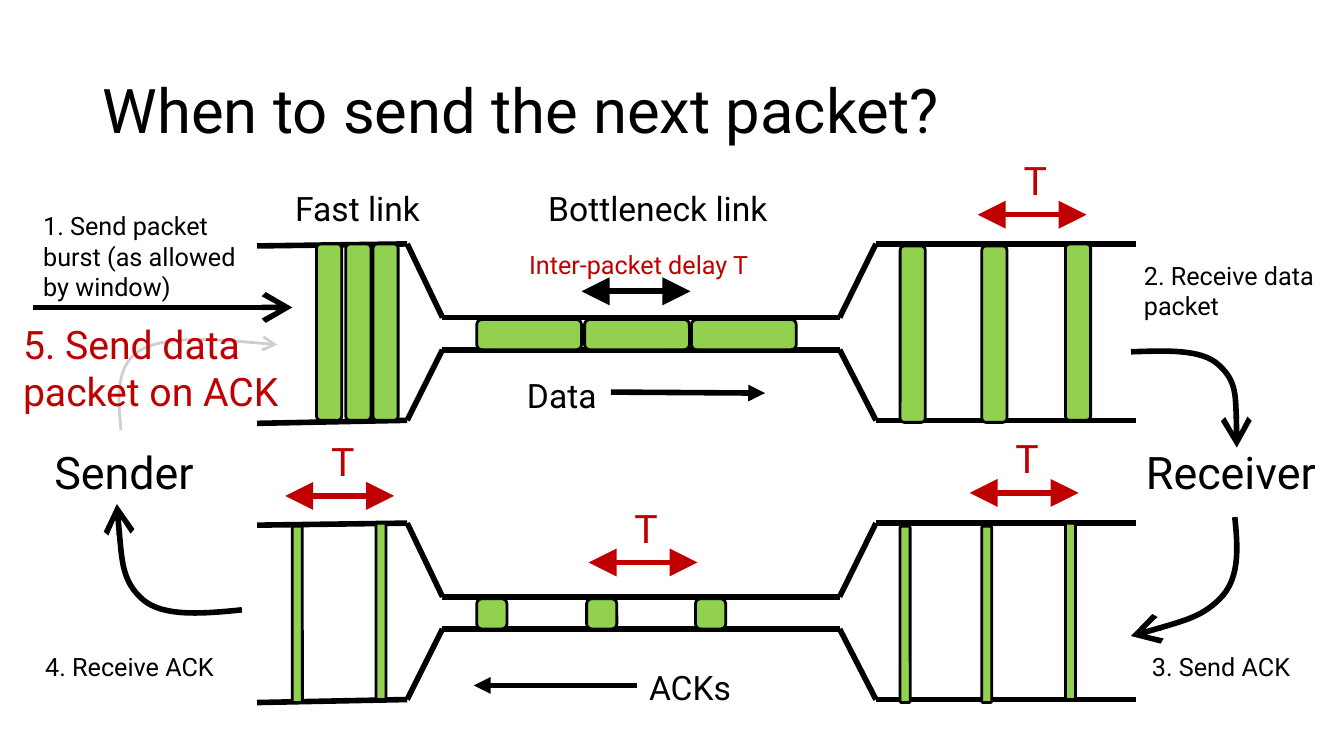
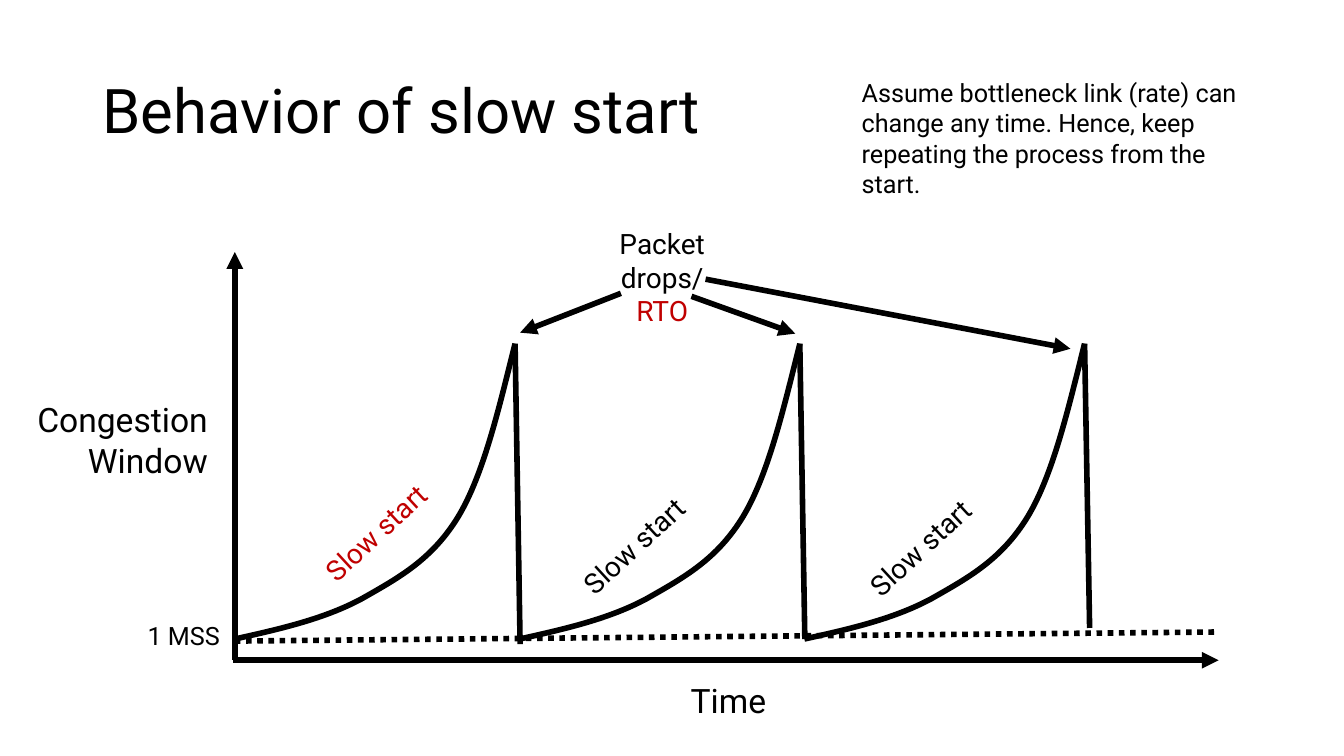
"""Build two slides on packet pacing and on slow start."""
from itertools import pairwise

from lxml.etree import SubElement
from pptx import Presentation
from pptx.dml.color import RGBColor
from pptx.enum.dml import MSO_LINE
from pptx.enum.shapes import MSO_CONNECTOR, MSO_SHAPE
from pptx.enum.text import MSO_ANCHOR, PP_ALIGN as Align
from pptx.oxml.ns import qn
from pptx.util import Inches, Pt

FONT = "Roboto"
COLORS = {"ink": "000000", "accent": "C00000", "packet": "92D050", "faint": "D0CECE"}
UPPER_EDGE = [(2.55, 0.02), (4.04, 0), (4.39, 0.73), (8.33, 0.73), (8.69, 0), (11.27, 0)]
LOWER_EDGE = [(2.55, 1.78), (4.04, 1.75), (4.39, 1.05), (8.33, 1.05), (8.69, 1.75), (11.27, 1.75)]
DATA_TOP, ACK_TOP = 2.42, 5.19
GROWTH = [(0, 0), (0.45, -0.1), (0.89, -0.2), (1.26, -0.4), (1.63, -0.61),
          (1.96, -0.79), (2.22, -1.22), (2.47, -1.64), (2.62, -2.29), (2.78, -2.93)]


def color(name):
    return RGBColor.from_string(COLORS[name])


def add_text(slide, left, top, width, height, text, size=18, ink="ink", align=Align.LEFT):
    shape = slide.shapes.add_textbox(Inches(left), Inches(top), Inches(width), Inches(height))
    frame = shape.text_frame
    frame.word_wrap = True
    frame.text = text
    for paragraph in frame.paragraphs:
        paragraph.alignment = align
        paragraph.font.name = FONT
        paragraph.font.size = Pt(size)
        paragraph.font.color.rgb = color(ink)
    return shape


def add_title(slide, text):
    frame = add_text(slide, 0.92, 0.4, 11.5, 1.45, text, 44).text_frame
    frame.vertical_anchor = MSO_ANCHOR.MIDDLE
    frame.paragraphs[0].line_spacing = 0.9


def style_line(shape, ink, weight, head=None, tail=None, tip="med", dash=None):
    shape.line.color.rgb = color(ink)
    shape.line.width = Pt(weight)
    if dash:
        shape.line.dash_style = dash
    outline = shape._element.spPr.find(qn("a:ln"))
    for tag, kind in (("a:headEnd", head), ("a:tailEnd", tail)):
        if kind:
            SubElement(outline, qn(tag), type=kind, w=tip, len=tip)


def add_line(slide, start, end, ink="ink", **style):
    line = slide.shapes.add_connector(MSO_CONNECTOR.STRAIGHT, *map(Inches, (*start, *end)))
    style_line(line, ink, 4, **style)
    SubElement(line._element.spPr, qn("a:effectLst"))


def add_double_arrow(slide, left, y, ink="ink"):
    add_line(slide, (left, y), (left + 1.08, y), ink, head="triangle", tail="triangle", tip="lg")


def add_curve(slide, controls, ink="ink", weight=4, tail=None):
    """Draw a chain of cubic Bezier segments through its control points."""
    points = [(Inches(x), Inches(y)) for x, y in controls]
    builder = slide.shapes.build_freeform(*points[0])
    builder.add_line_segments(points[1:], close=False)
    curve = builder.convert_to_shape()
    segments = curve._element.findall(".//" + qn("a:lnTo"))
    outline = segments[0].getparent()
    for first in range(0, len(segments), 3):
        cubic = SubElement(outline, qn("a:cubicBezTo"))
        for segment in segments[first:first + 3]:
            cubic.append(segment[0])
            outline.remove(segment)
    curve.shadow.inherit = False
    curve.fill.background()
    style_line(curve, ink, weight, tail=tail, tip="lg")


def add_packets(slide, corners, width, height):
    for left, top in corners:
        packet = slide.shapes.add_shape(MSO_SHAPE.ROUNDED_RECTANGLE, Inches(left), Inches(top),
                                        Inches(width), Inches(height))
        packet.shadow.inherit = False
        packet.fill.solid()
        packet.fill.fore_color.rgb = color("packet")
        style_line(packet, "ink", 2)


def add_channel(slide, top):
    for edge in (UPPER_EDGE, LOWER_EDGE):
        for (x1, y1), (x2, y2) in pairwise(edge):
            add_line(slide, (x1, top + y1), (x2, top + y2))


def add_interval(slide, left, y):
    add_text(slide, left + 0.19, y - 0.63, 0.76, 0.57, "T", 28, "accent", Align.CENTER)
    add_double_arrow(slide, left, y, "accent")


def build_pacing_slide(slide):
    add_title(slide, "When to send the next packet?")
    add_channel(slide, DATA_TOP)
    add_packets(slide, [(left, DATA_TOP) for left in (3.14, 3.43, 3.7)], 0.25, 1.75)
    add_packets(slide, [(left, 3.17) for left in (4.73, 5.8, 6.86)], 1.04, 0.3)
    add_packets(slide, [(8.93, 2.44), (9.74, 2.44), (10.57, DATA_TOP)], 0.25, 1.75)
    add_channel(slide, ACK_TOP)
    add_packets(slide, [(left, 5.94) for left in (4.73, 5.82, 6.9)], 0.3, 0.3)
    add_packets(slide, [(2.9, 5.22), (3.73, ACK_TOP), (8.93, 5.22), (9.74, 5.22),
                        (10.57, ACK_TOP)], 0.1, 1.75)

    add_line(slide, (0.33, 3.05), (2.9, 3.05), tail="arrow", tip="lg")
    add_double_arrow(slide, 5.77, 2.89)
    add_line(slide, (6.06, 3.89), (7.59, 3.9), tail="triangle")
    add_line(slide, (6.32, 6.8), (4.7, 6.8), tail="triangle")
    for left, y in ((9.7, 2.13), (9.62, 4.89), (5.84, 5.58), (2.83, 4.92)):
        add_interval(slide, left, y)

    for controls in (
        [(11.22, 3.49), (11.57, 3.48), (11.92, 3.46), (12.09, 3.62),
         (12.27, 3.78), (12.27, 4.11), (12.27, 4.44)],
        [(12.25, 5.13), (12.28, 5.42), (12.3, 5.71), (12.13, 5.91),
         (11.95, 6.11), (11.59, 6.21), (11.22, 6.31)],
        [(2.4, 6.05), (2.01, 6.09), (1.62, 6.12), (1.42, 5.95),
         (1.21, 5.77), (1.19, 5.38), (1.16, 5)],
    ):
        add_curve(slide, controls, tail="arrow")
    add_curve(slide, [(1.2, 4.27), (1.17, 3.94), (1.14, 3.62), (1.4, 3.47),
                      (1.66, 3.33), (2.2, 3.37), (2.75, 3.42)], "faint", 2, "arrow")

    for label in (
        (0.44, 4.36, 1.85, 0.64, "Sender", 32),
        (11.27, 4.36, 2.01, 0.64, "Receiver", 32),
        (2.83, 1.82, 1.45, 0.5, "Fast link", 24),
        (5.34, 1.82, 2.65, 0.5, "Bottleneck link", 24),
        (5.13, 3.67, 2.84, 0.5, "Data", 24),
        (6.34, 6.57, 1.12, 0.5, "ACKs", 24),
        (5.15, 2.42, 2.61, 0.4, "Inter-packet delay T", 18, "accent"),
        (0.33, 2.04, 2.21, 1.01, "1. Send packet burst (as allowed by window)"),
        (11.25, 2.53, 1.96, 0.71, "2. Receive data packet"),
        (11.33, 6.41, 1.96, 0.4, "3. Send ACK"),
        (0.35, 6.41, 1.96, 0.4, "4. Receive ACK"),
        (0.13, 3.13, 3.58, 1.04, "5. Send data \vpacket on ACK", 28, "accent"),
    ):
        add_text(slide, *label)


def build_slow_start_slide(slide):
    add_title(slide, "Behavior of slow start")
    add_line(slide, (2.33, 6.55), (2.33, 2.5), tail="triangle")
    add_line(slide, (2.31, 6.55), (12.09, 6.55), tail="triangle")
    for cycle, drop_end in enumerate((6.39, 6.34, 6.23)):
        left = 2.33 + 2.825 * cycle
        add_curve(slide, [(left + x, 6.34 + y) for x, y in GROWTH])
        add_line(slide, (left + 2.78, 3.41), (left + 2.83, drop_end))
    add_line(slide, (2.33, 6.36), (12.09, 6.27), dash=MSO_LINE.ROUND_DOT)

    add_text(slide, 1.04, 6.11, 1.24, 0.4, "1 MSS", align=Align.RIGHT)
    add_text(slide, 0.1, 3.91, 2.06, 0.91, "Congestion Window", 24, align=Align.RIGHT)
    add_text(slide, 5.64, 6.7, 2.06, 0.5, "Time", 24, align=Align.RIGHT)
    drops = add_text(slide, 5.62, 2.2, 1.9, 0.77, "Packet drops/\nRTO", 20, align=Align.CENTER)
    drops.text_frame.paragraphs[1].font.color.rgb = color("accent")
    for start, end in (((6.16, 2.91), (5.16, 3.3)), ((6.86, 2.94), (7.89, 3.31)),
                       ((7, 2.77), (10.62, 3.46))):
        add_line(slide, start, end, tail="triangle")
    for left, top, ink in ((2.97, 4.97, "accent"), (5.53, 5.1, "ink"), (8.37, 5.12, "ink")):
        add_text(slide, left, top, 1.72, 0.44, "Slow start", 20, ink).rotation = 317.3
    add_text(slide, 8.45, 0.72, 4.19, 1.31, "Assume bottleneck link (rate) can change any time. "
             "Hence, keep repeating the process from the start.")


def main():
    presentation = Presentation()
    presentation.slide_width = Inches(40) // 3
    presentation.slide_height = Inches(7.5)
    for build in (build_pacing_slide, build_slow_start_slide):
        build(presentation.slides.add_slide(presentation.slide_layouts[6]))
    presentation.save("out.pptx")


if __name__ == "__main__":
    main()
